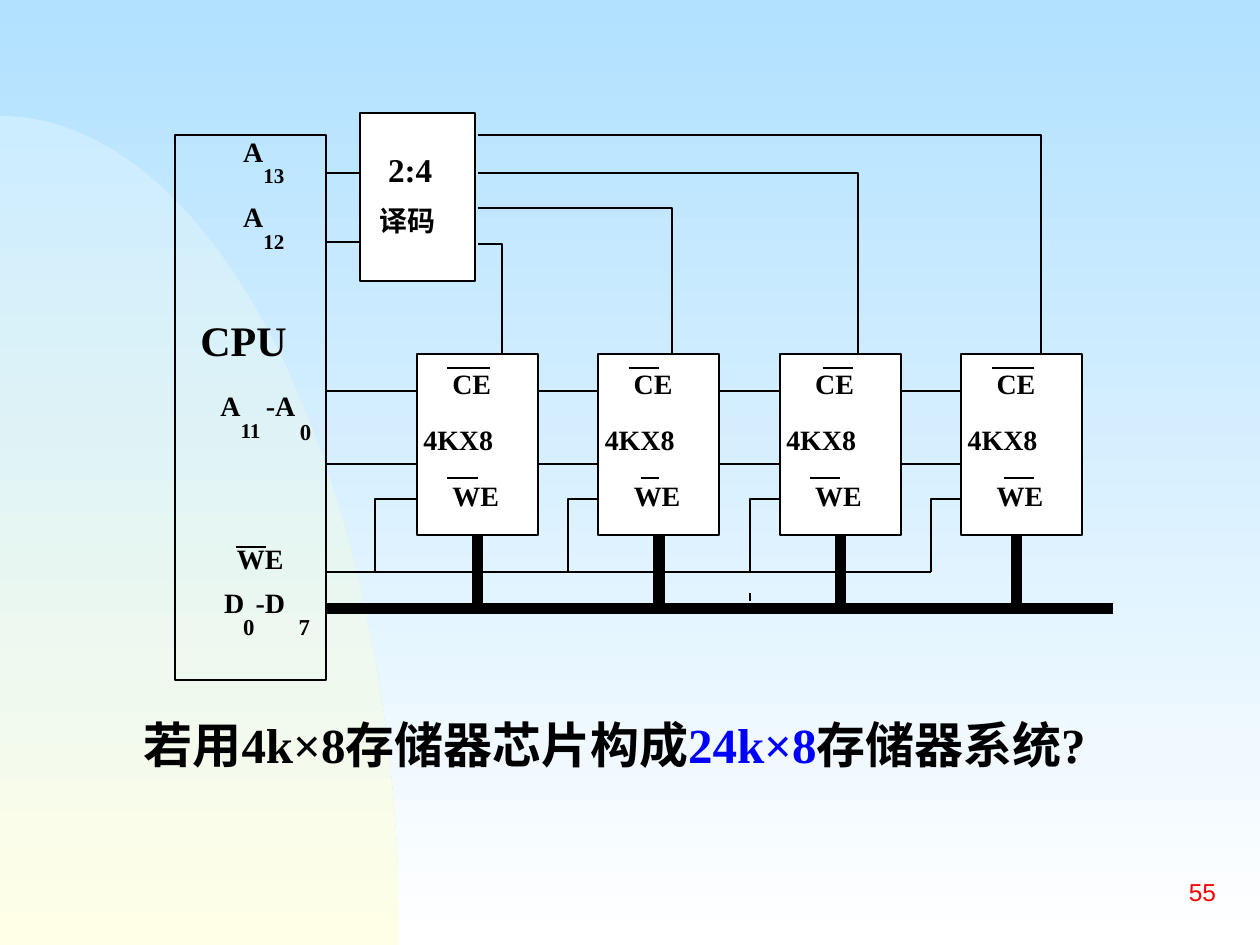
import math
from collections import namedtuple

from lxml import etree
from pptx import Presentation
from pptx.dml.color import RGBColor
from pptx.enum import shapes, text
from pptx.oxml.ns import qn
from pptx.util import Inches, Pt

BLACK = RGBColor(0x00, 0x00, 0x00)
WHITE = RGBColor(0xFF, 0xFF, 0xFF)
BLUE = RGBColor(0x00, 0x00, 0xFF)
RED = RGBColor(0xFF, 0x00, 0x00)
SKY = RGBColor(0xB1, 0xE1, 0xFF)
PALE_SKY = RGBColor(0xCC, 0xEC, 0xFF)
CREAM = RGBColor(0xFF, 0xFF, 0xE7)
SERIF = "Times New Roman"
THIN, THICK = 1.13, 6.38
BOTTOM_SIDE = 2

Box = namedtuple("Box", "left top width height")
Chip = namedtuple("Chip", "ce_bar we_bar select_x select_y write_lead data_x")

CPU = Box(1.39, 1.07, 1.2, 4.33)
DECODER = Box(2.86, 0.9, 0.91, 1.33)
FIRST_CHIP = Box(3.31, 2.81, 0.96, 1.44)
CHIP_PITCH = 1.44
SELECT_START = 3.79
WRITE_Y, DATA_Y = 4.54, 4.83
ADDRESS_PINS = (0.29, 0.87)
WRITE_PIN = 1.15

CHIPS = [
    Chip((0.24, 0.58), (0.24, 0.48), 0.67, 1.94, 0.33, 0.48),
    Chip((0.24, 0.48), (0.34, 0.48), 0.58, 1.65, 0.24, 0.48),
    Chip((0.34, 0.58), (0.24, 0.48), 0.62, 1.37, 0.24, 0.48),
    Chip((0.24, 0.58), (0.34, 0.58), 0.63, 1.07, 0.24, 0.44),
]
CPU_LABELS = [
    ("A", 16, 0.54, -0.03, 0.17), ("13", 12, 0.7, 0.2, 0.18),
    ("A", 16, 0.54, 0.49, 0.17), ("12", 12, 0.7, 0.72, 0.18),
    ("CPU", 24, 0.2, 1.39, 0.72),
    ("A", 16, 0.36, 1.99, 0.17), ("11", 12, 0.52, 2.22, 0.18),
    ("-A", 16, 0.72, 1.99, 0.26), ("0", 13, 0.99, 2.22, 0.1),
    ("WE", 16, 0.49, 3.2, 0.39),
    ("D", 16, 0.39, 3.55, 0.17), ("0", 13, 0.54, 3.77, 0.1),
    ("-D", 16, 0.64, 3.55, 0.26), ("7", 13, 0.98, 3.77, 0.1),
]
DECODER_LABELS = [("2:4", 19, 0.22, 0.25, 0.39), ("译码", 16, 0.15, 0.69, 0.48)]
CHIP_LABELS = [("CE", 16, 0.28, 0.07, 0.33), ("4KX8", 16, 0.05, 0.52, 0.59),
               ("WE", 16, 0.28, 0.96, 0.39)]


def set_gradient(fill, first, last):
    fill.gradient()
    fill.gradient_angle = 270
    for stop, color in zip(fill.gradient_stops, (first, last)):
        stop.color.rgb = color


def set_font(run, size, color=BLACK, name=SERIF, bold=True):
    run.font.size = Pt(size)
    run.font.name = name
    run.font.bold = bold
    run.font.color.rgb = color


def add_wire(slide, x1, y1, x2, y2, weight=THIN):
    wire = slide.shapes.add_connector(
        shapes.MSO_CONNECTOR.STRAIGHT, *map(Inches, (x1, y1, x2, y2)))
    wire.line.color.rgb = BLACK
    wire.line.width = Pt(weight)
    etree.SubElement(wire.element.spPr, qn("a:effectLst"))
    return wire


def add_outline(slide, points, close=False):
    start, *rest = [(Inches(x), Inches(y)) for x, y in points]
    builder = slide.shapes.build_freeform(*start)
    builder.add_line_segments(rest, close=close)
    outline = builder.convert_to_shape()
    outline.shadow.inherit = False
    return outline


def add_bent_wire(slide, *points):
    wire = add_outline(slide, points)
    wire.fill.background()
    wire.line.color.rgb = BLACK
    wire.line.width = Pt(THIN)


def add_block(slide, box, labels, filled=True):
    block = slide.shapes.add_shape(shapes.MSO_SHAPE.RECTANGLE, *map(Inches, box))
    block.shadow.inherit = False
    block.line.color.rgb = BLACK
    block.line.width = Pt(THIN)
    if filled:
        block.fill.solid()
        block.fill.fore_color.rgb = WHITE
    else:
        block.fill.background()
    for wording, size, x, y, width in labels:
        label = slide.shapes.add_textbox(
            Inches(box.left + x), Inches(box.top + y),
            Inches(width), Inches(size * 1.31 / 72))
        frame = label.text_frame
        frame.margin_left = frame.margin_right = 0
        frame.margin_top = frame.margin_bottom = 0
        frame.word_wrap = False
        frame.auto_size = text.MSO_AUTO_SIZE.SHAPE_TO_FIT_TEXT
        frame.text = wording
        frame.paragraphs[0].line_spacing = 1.1
        set_font(frame.paragraphs[0].runs[0], size)
    return block


def draw_backdrop(slide, box):
    set_gradient(slide.background.fill, SKY, WHITE)
    base = box.top + box.height
    angles = [math.radians(90 - 1.5 * step) for step in range(61)]
    arc = [(box.left + box.width * math.cos(a), base - box.height * math.sin(a))
           for a in angles]
    hill = add_outline(slide, arc + [(box.left, base)], close=True)
    set_gradient(hill.fill, PALE_SKY, CREAM)
    hill.line.fill.background()


def draw_cpu(slide, box):
    add_block(slide, box, CPU_LABELS, filled=False)
    bar_y = box.top + 3.27
    add_wire(slide, box.left + 0.48, bar_y, box.left + 0.72, bar_y)


def draw_decoder(slide, box, cpu_right):
    add_block(slide, box, DECODER_LABELS)
    for pin in (0.47, 1.02):
        add_wire(slide, cpu_right, box.top + pin, box.left, box.top + pin)


def draw_chip(slide, box, chip, address_start):
    block = add_block(slide, box, CHIP_LABELS)
    for (start, end), y in ((chip.ce_bar, 0.11), (chip.we_bar, 0.98)):
        add_wire(slide, box.left + start, box.top + y, box.left + end, box.top + y)
    for pin in ADDRESS_PINS:
        add_wire(slide, address_start, box.top + pin, box.left, box.top + pin)

    select_x = box.left + chip.select_x
    add_bent_wire(slide, (SELECT_START, chip.select_y),
                  (select_x, chip.select_y), (select_x, box.top))
    write_x, write_top = box.left - chip.write_lead, box.top + WRITE_PIN
    add_bent_wire(slide, (box.left, write_top), (write_x, write_top), (write_x, WRITE_Y))

    data_x = box.left + chip.data_x
    data = add_wire(slide, data_x, box.top + box.height, data_x, DATA_Y, THICK)
    if chip.data_x == box.width / 2:
        data.begin_connect(block, BOTTOM_SIDE)


def draw_buses(slide, start):
    add_wire(slide, start, WRITE_Y, 7.39, WRITE_Y)
    add_wire(slide, start, DATA_Y, 8.83, DATA_Y, THICK)
    add_wire(slide, 5.95, 4.71, 5.95, 4.77)


def write_question(slide, box):
    question = slide.shapes.title
    question.left, question.top, question.width, question.height = map(Inches, box)
    question.element.getparent().append(question.element)
    frame = question.text_frame
    frame.word_wrap = False
    frame.auto_size = text.MSO_AUTO_SIZE.NONE
    frame.vertical_anchor = text.MSO_ANCHOR.TOP
    paragraph = frame.paragraphs[0]
    paragraph.alignment = text.PP_ALIGN.LEFT
    for wording, color in (("若用4k×8存储器芯片构成", BLACK), ("24k×8", BLUE),
                           ("存储器系统?", BLACK)):
        run = paragraph.add_run()
        run.text = wording
        set_font(run, 28, color)


def write_page_number(slide, box):
    frame = slide.shapes.add_textbox(*map(Inches, box)).text_frame
    frame.word_wrap = True
    frame.vertical_anchor = text.MSO_ANCHOR.MIDDLE
    frame.text = "55"
    frame.paragraphs[0].alignment = text.PP_ALIGN.RIGHT
    set_font(frame.paragraphs[0].runs[0], 14, RED, "Arial", bold=False)


def main():
    deck = Presentation()
    deck.slide_width, deck.slide_height = Inches(10), Inches(7.5)
    slide = deck.slides.add_slide(deck.slide_layouts[5])
    draw_backdrop(slide, Box(0, 0.92, 3.17, 6.58))
    cpu_right = CPU.left + CPU.width
    draw_cpu(slide, CPU)
    draw_decoder(slide, DECODER, cpu_right)
    address_start = cpu_right
    for index, chip in enumerate(CHIPS):
        box = FIRST_CHIP._replace(left=FIRST_CHIP.left + index * CHIP_PITCH)
        draw_chip(slide, box, chip, address_start)
        address_start = box.left + box.width
    draw_buses(slide, cpu_right)
    write_question(slide, Box(1.04, 5.62, 8.14, 0.57))
    write_page_number(slide, Box(7.67, 6.83, 2.08, 0.5))
    deck.save("out.pptx")


if __name__ == "__main__":
    main()
